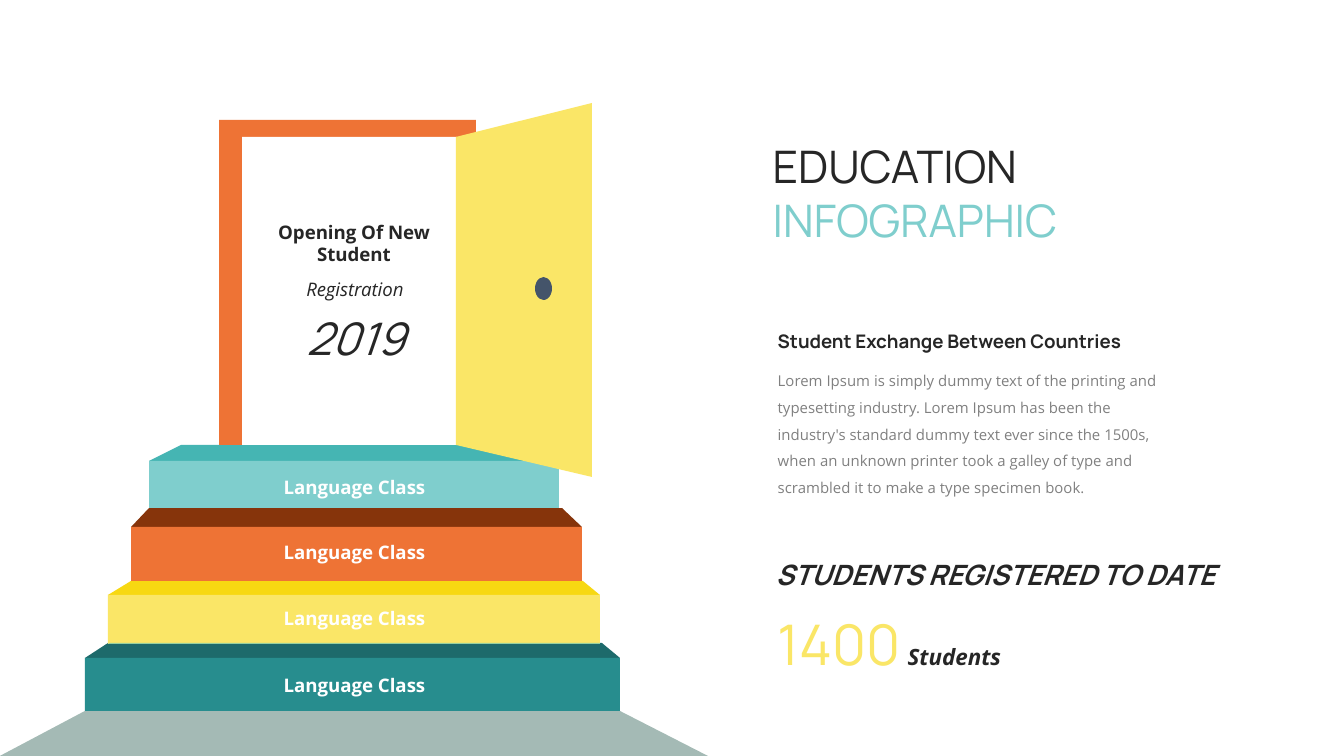
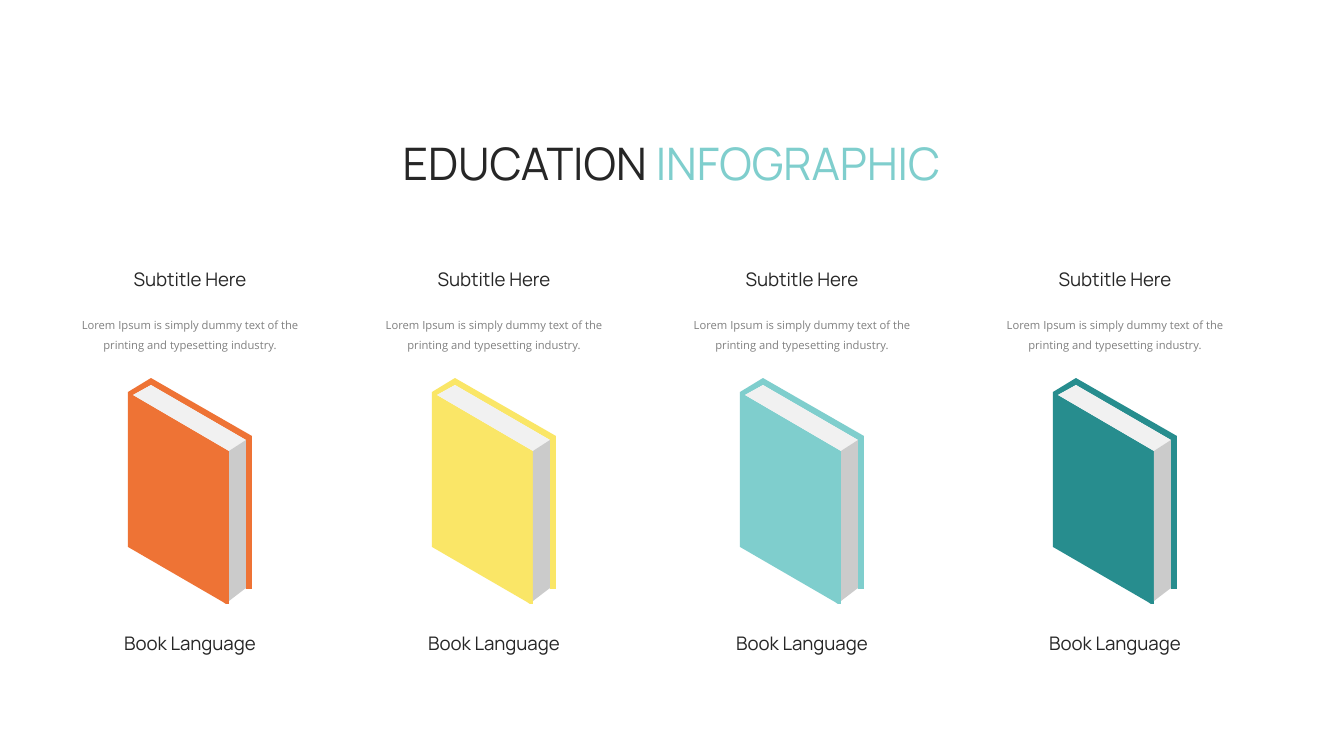
import dataclasses

import pptx
import pptx.dml.color
import pptx.enum.shapes
import pptx.enum.text
import pptx.util

PIXEL = 914400 / 134.4
SLIDE_SIZE = (1344, 756)
LEFT = pptx.enum.text.PP_ALIGN.LEFT
CENTER = pptx.enum.text.PP_ALIGN.CENTER
RECTANGLE = pptx.enum.shapes.MSO_SHAPE.RECTANGLE
OVAL = pptx.enum.shapes.MSO_SHAPE.OVAL


@dataclasses.dataclass(frozen=True)
class Theme:
    colors = {
        "ink": "262626", "gray": "808080", "white": "FFFFFF",
        "orange": "EE7335", "brown": "86340B",
        "yellow": "FAE667", "gold": "F7D812",
        "aqua": "7FCECD", "turquoise": "45B5B3",
        "teal": "278D8E", "deep teal": "1D6A6B",
        "floor": "A4BAB5", "green": "98D09E", "knob": "44546A",
        "page top": "F1F1F1", "page side": "CBCBCB",
    }
    styles = {
        "title": ("ink", dict(name="Manrope", size=24)),
        "title accent": ("aqua", dict(name="Manrope", size=24)),
        "year": ("ink", dict(name="Manrope", size=24, italic=True)),
        "registration": ("ink", dict(name="Open Sans", size=10, italic=True)),
        "opening": ("ink", dict(name="Open Sans", size=10, bold=True)),
        "step": ("white", dict(name="Open Sans", size=10, bold=True)),
        "heading": ("ink", dict(name="Manrope", size=10, bold=True)),
        "subtitle": ("ink", dict(name="Manrope", size=10)),
        "body": ("gray", dict(name="Open Sans", size=8)),
        "small body": ("gray", dict(name="Open Sans", size=6)),
        "banner": ("ink", dict(name="Manrope", size=15, bold=True, italic=True)),
        "count": ("yellow", dict(name="Manrope", size=30)),
        "count gap": ("ink", dict(name="Manrope", size=18)),
        "count unit": ("ink", dict(name="Open Sans", size=12, bold=True, italic=True)),
    }
    margin = 0.05
    body_spacing = 1.5


THEME = Theme()

STACKED_TITLE = [[("EDUCATION", "title")], [("INFOGRAPHIC", "title accent")]]
INLINE_TITLE = [[("EDUCATION ", "title"), ("INFOGRAPHIC", "title accent")]]

FLOOR = [(0, 756), (708, 756), (620, 711), (85, 711)]
STEP_EDGE = [(108, 644), (110, 643), (600, 643), (600, 644)]
STEPS = [
    ("Language Class", 667, "teal", "deep teal", (85, 658, 620, 711), (108, 602, 643)),
    ("Language Class", 600, "yellow", "gold", (108, 595, 600, 644), (131, 583, 581)),
    ("Language Class", 534, "orange", "brown", (131, 527, 582, 581), (149, 562, 508)),
    ("Language Class", 469, "aqua", "turquoise", (149, 461, 559, 508), (181, 538, 445)),
]
STEP_LABEL = dict(left=183, width=343, height=36)

DOOR_FRAME = (219, 120, 257, 325)
DOORWAY = (242, 137, 215, 308)
DOOR_LEAF = [(456, 137), (592, 103), (592, 477), (456, 445)]
KNOB = (535, 277, 17, 23)
DOOR_TEXTS = [
    ("2019", "year", (274, 304, 163, 67)),
    ("Registration", "registration", (267, 271, 176, 36)),
    ("Opening Of New Student", "opening", (233, 214, 242, 36)),
]

SIDE_TEXTS = [
    ([("Student Exchange Between Countries", "heading")], (771, 323, 477, 36), None),
    ([("Lorem Ipsum is simply dummy text of the printing and typesetting industry. "
       "Lorem Ipsum has been the industry's standard dummy text ever since the 1500s, "
       "when an unknown printer took a galley of type and scrambled it to make a type "
       "specimen book.", "body")], (771, 356, 402, 144), THEME.body_spacing),
    ([("STUDENTS REGISTERED TO DATE", "banner")], (769, 551, 482, 47), None),
    ([("1400", "count"), (" ", "count gap"), ("Students", "count unit")],
     (771, 603, 336, 81), None),
]

BOOKS = [(190, "orange"), (494, "yellow"), (802, "aqua"), (1115, "teal")]
BOOK_TEXTS = [
    ("Subtitle Here", "subtitle", 261, 200, 36, None),
    ("Lorem Ipsum is simply dummy text of the printing and typesetting industry.",
     "small body", 305, 263, 46, THEME.body_spacing),
    ("Book Language", "subtitle", 625, 200, 36, None),
]
BOOK_TOP = 378
BOOK_WIDTH = 124
BOOK_COVER = [(23, 0), (0, 14), (0, 169), (95, 224), (98, 226), (101, 226), (101, 73),
              (5, 17), (23, 7), (118, 62), (118, 211), (124, 211), (124, 58)]
BOOK_PAGES = [
    ("page top", [(118, 62), (23, 7), (5, 17), (101, 73)]),
    ("page side", [(101, 73), (101, 223), (118, 210), (118, 62)]),
]


def to_emu(pixels):
    return pptx.util.Emu(round(pixels * PIXEL))


def rgb(color):
    return pptx.dml.color.RGBColor.from_string(THEME.colors[color])


def paint(shape, color):
    shape.shadow.inherit = False
    shape.fill.solid()
    shape.fill.fore_color.rgb = rgb(color)
    shape.line.fill.background()


def add_preset(shapes, kind, box, color):
    paint(shapes.add_shape(kind, *map(to_emu, box)), color)


def add_polygon(shapes, points, color, origin=(0, 0)):
    builder = shapes.build_freeform(*points[0], scale=PIXEL)
    builder.add_line_segments(points[1:], close=True)
    paint(builder.convert_to_shape(*map(to_emu, origin)), color)


def write_text(shape, paragraphs, alignment, line_spacing=None):
    frame = shape.text_frame
    margin = pptx.util.Inches(THEME.margin)
    settings = {f"margin_{side}": margin for side in ("left", "top", "right", "bottom")}
    settings.update(
        word_wrap=True,
        auto_size=pptx.enum.text.MSO_AUTO_SIZE.SHAPE_TO_FIT_TEXT,
        vertical_anchor=pptx.enum.text.MSO_ANCHOR.TOP,
    )
    for name, value in settings.items():
        setattr(frame, name, value)
    for index, runs in enumerate(paragraphs):
        paragraph = frame.add_paragraph() if index else frame.paragraphs[0]
        paragraph.alignment = alignment
        paragraph.line_spacing = line_spacing
        for text, style in runs:
            run = paragraph.add_run()
            run.text = text
            color, formats = THEME.styles[style]
            for name, value in formats.items():
                setattr(run.font, name, pptx.util.Pt(value) if name == "size" else value)
            run.font.color.rgb = rgb(color)


def add_text(shapes, box, runs, alignment, line_spacing=None):
    shape = shapes.add_textbox(*map(to_emu, box))
    write_text(shape, [runs], alignment, line_spacing)


def add_titled_slide(presentation, paragraphs, box, alignment):
    slide = presentation.slides.add_slide(presentation.slide_layouts[5])
    title = slide.shapes.title
    for name, value in zip(("left", "top", "width", "height"), box):
        setattr(title, name, to_emu(value))
    write_text(title, paragraphs, alignment)
    return slide


def add_step(shapes, front_color, tread_color, front, back_edge):
    left, top, right, bottom = front
    back_left, back_right, back_top = back_edge
    tread = [(back_left, back_top), (back_right, back_top), (right, top), (left, top)]
    add_polygon(shapes, tread, tread_color)
    add_preset(shapes, RECTANGLE, (left, top, right - left, bottom - top), front_color)


def build_door_slide(presentation):
    slide = add_titled_slide(presentation, STACKED_TITLE, (766, 132, 406, 122), LEFT)
    scene = slide.shapes.add_group_shape().shapes
    add_polygon(scene, FLOOR, "floor")
    for label, label_top, front_color, tread_color, front, back_edge in STEPS:
        add_step(scene, front_color, tread_color, front, back_edge)
    add_polygon(scene, STEP_EDGE, "green")
    add_preset(scene, RECTANGLE, DOOR_FRAME, "orange")
    add_preset(scene, RECTANGLE, DOORWAY, "white")
    add_polygon(scene, DOOR_LEAF, "yellow")
    add_preset(scene, OVAL, KNOB, "knob")
    for text, style, box in DOOR_TEXTS:
        add_text(scene, box, [(text, style)], CENTER)
    for label, label_top, *colors_and_edges in STEPS:
        box = (STEP_LABEL["left"], label_top, STEP_LABEL["width"], STEP_LABEL["height"])
        add_text(slide.shapes, box, [(label, "step")], CENTER)
    for runs, box, line_spacing in SIDE_TEXTS:
        add_text(slide.shapes, box, runs, LEFT, line_spacing)


def build_books_slide(presentation):
    slide = add_titled_slide(presentation, INLINE_TITLE, (302, 129, 739, 67), CENTER)
    for center, color in BOOKS:
        book = slide.shapes.add_group_shape().shapes
        origin = (center - BOOK_WIDTH / 2, BOOK_TOP)
        for part_color, points in [(color, BOOK_COVER), *BOOK_PAGES]:
            add_polygon(book, points, part_color, origin)
        for text, style, top, width, height, line_spacing in BOOK_TEXTS:
            box = (center - width / 2, top, width, height)
            add_text(slide.shapes, box, [(text, style)], CENTER, line_spacing)


def main():
    presentation = pptx.Presentation()
    presentation.slide_width, presentation.slide_height = map(to_emu, SLIDE_SIZE)
    build_door_slide(presentation)
    build_books_slide(presentation)
    presentation.save("out.pptx")


if __name__ == "__main__":
    main()
